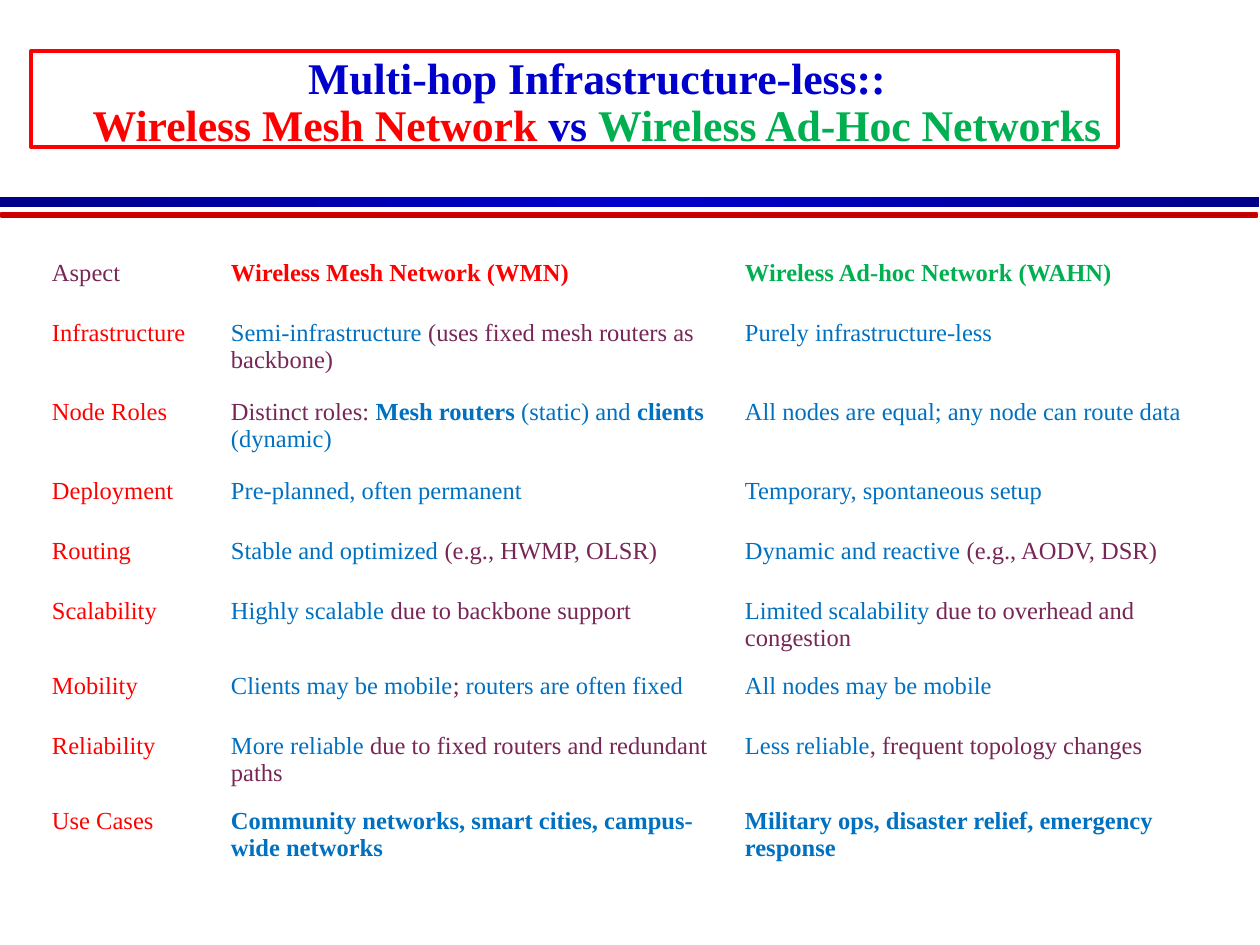
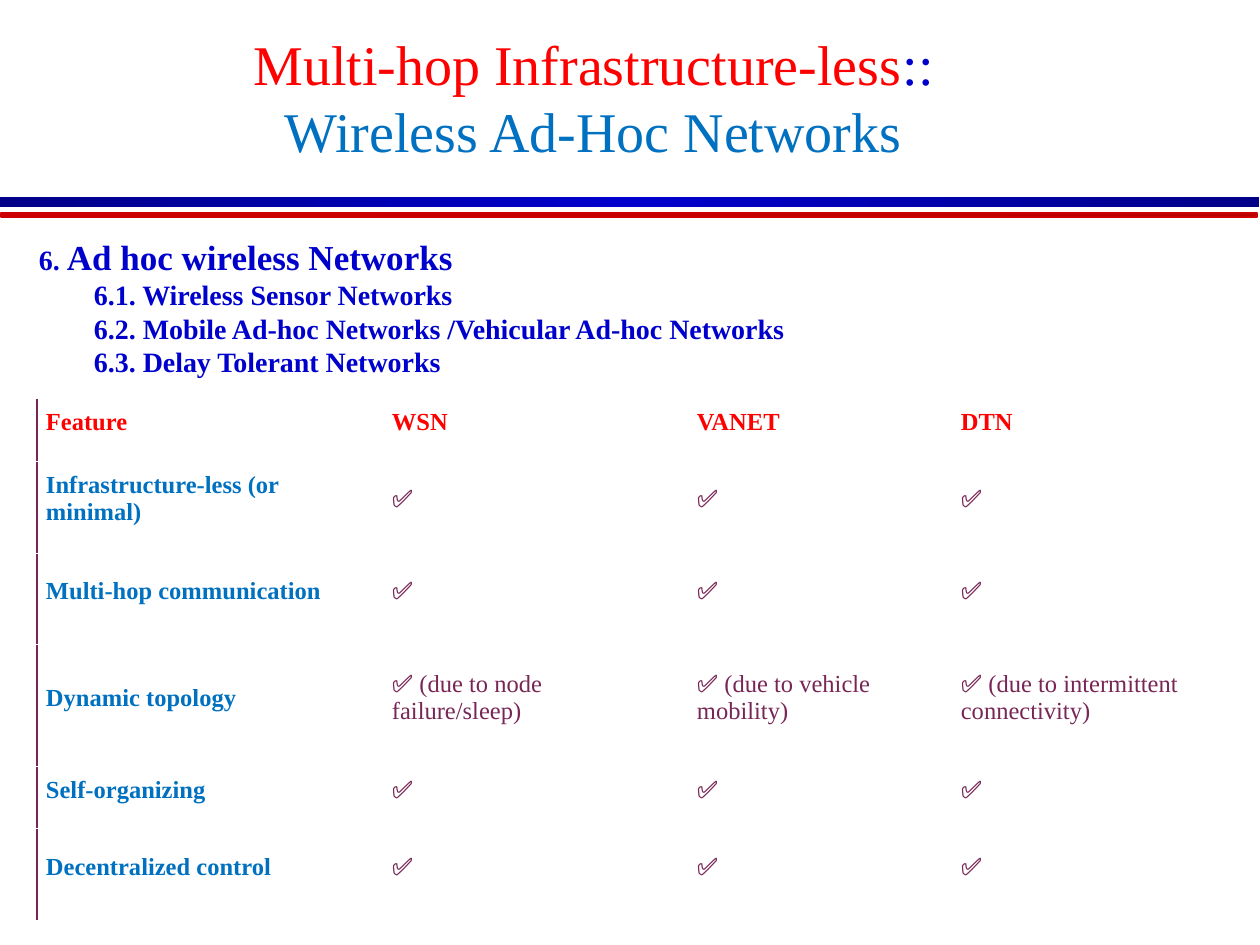
from dataclasses import dataclass

from lxml import etree
from pptx import Presentation
from pptx.dml.color import RGBColor
from pptx.enum.shapes import MSO_SHAPE
from pptx.enum.text import MSO_ANCHOR, PP_ALIGN
from pptx.oxml.ns import qn
from pptx.util import Emu, Pt

RECTANGLE = MSO_SHAPE.RECTANGLE
TOP, MIDDLE, BOTTOM = MSO_ANCHOR.TOP, MSO_ANCHOR.MIDDLE, MSO_ANCHOR.BOTTOM
CENTER = PP_ALIGN.CENTER


@dataclass(frozen=True)
class Theme:
    font: str = "Times New Roman"
    white: str = "FFFFFF"
    navy: str = "000089"
    blue: str = "0000CC"
    sky: str = "0070C0"
    red: str = "FF0000"
    band_red: str = "CC0000"
    dark_red: str = "B90000"
    green: str = "00B050"
    plum: str = "772655"
    large_title: int = 32
    title: int = 25
    heading: int = 20
    outline: int = 16
    table: int = 14


THEME = Theme()


def px(value):
    return Emu(round(value * 914400 / 126))


def box_px(box):
    return [px(value) for value in box]


def color(value):
    return RGBColor.from_string(value)


def plain(text):
    return text, THEME.plum, False


def key(text):
    return text, THEME.sky, False


def strong(text):
    return text, THEME.sky, True


def label(text):
    return text, THEME.red, False


def write(paragraph, runs, size):
    paragraph.font.name = THEME.font
    paragraph.font.size = Pt(size)
    for text, run_color, bold in runs:
        if text == "\n":
            paragraph.add_line_break()
            continue
        run = paragraph.add_run()
        run.text = text
        run.font.color.rgb = color(run_color)
        run.font.bold = bold


def set_margins(holder, margins):
    (holder.margin_left, holder.margin_top,
     holder.margin_right, holder.margin_bottom) = box_px(margins)


def add_text_frame(slide, box, anchor):
    frame = slide.shapes.add_textbox(*box_px(box)).text_frame
    frame.word_wrap = True
    frame.vertical_anchor = anchor
    set_margins(frame, (13, 6, 13, 6))
    return frame


def add_title(slide, box, runs, size, anchor, line_spacing):
    paragraph = add_text_frame(slide, box, anchor).paragraphs[0]
    paragraph.alignment = CENTER
    paragraph.line_spacing = line_spacing
    write(paragraph, runs, size)


def add_rectangle(slide, box, line_color=None, line_width=0):
    shape = slide.shapes.add_shape(RECTANGLE, *box_px(box))
    shape.shadow.inherit = False
    shape.fill.background()
    if line_color:
        shape.line.color.rgb = color(line_color)
        shape.line.width = Pt(line_width)
    else:
        shape.line.fill.background()
    return shape


def fill_gradient(shape, colors):
    shape.fill.gradient()
    shape.fill.gradient_angle = 0
    stops = shape._element.spPr.find(".//" + qn("a:gsLst"))
    for stop in list(stops):
        stops.remove(stop)
    for index, stop_color in enumerate(colors):
        position = 100000 * index // (len(colors) - 1)
        stop = etree.SubElement(stops, qn("a:gs"), pos=str(position))
        etree.SubElement(stop, qn("a:srgbClr"), val=stop_color)


def add_bands(slide):
    blue_band = add_rectangle(slide, (0, 197, 1259, 10))
    fill_gradient(blue_band, (THEME.navy, THEME.blue, THEME.navy))
    red_band = add_rectangle(slide, (1, 213, 1256, 4), THEME.band_red, 1)
    fill_gradient(red_band, (THEME.band_red, THEME.dark_red))


def set_border(cell, side, line_color, width):
    properties = cell._tc.get_or_add_tcPr()
    line = etree.Element(qn("a:ln" + side), w=str(Pt(width)))
    fill = etree.SubElement(line, qn("a:solidFill"))
    etree.SubElement(fill, qn("a:srgbClr"), val=line_color)
    fill_index = properties.index(properties.find(qn("a:solidFill")))
    properties.insert(fill_index, line)


def add_table(slide, left, top, widths, heights, rows, margins, anchor, edge=None):
    box = (left, top, sum(widths), sum(heights))
    frame = slide.shapes.add_table(len(rows), len(widths), *box_px(box))
    table = frame.table
    table.first_row = table.horz_banding = False
    for column, width in zip(table.columns, widths):
        column.width = px(width)
    for row, height in zip(table.rows, heights):
        row.height = px(height)
    for row_index, row in enumerate(rows):
        for column_index, runs in enumerate(row):
            cell = table.cell(row_index, column_index)
            cell.fill.solid()
            cell.fill.fore_color.rgb = color(THEME.white)
            cell.vertical_anchor = anchor
            set_margins(cell, margins)
            for side in "LRTB":
                if side == "L" and column_index == 0 and edge:
                    set_border(cell, side, edge, 1)
                else:
                    set_border(cell, side, THEME.white, 0.5)
            write(cell.text_frame.paragraphs[0], runs, THEME.table)


def add_outline(slide, box, heading, items):
    frame = add_text_frame(slide, box, TOP)
    paragraph = frame.paragraphs[0]
    paragraph.line_spacing = 1.2
    write(paragraph, [(text, THEME.blue, True) for text in heading], THEME.outline)
    paragraph.runs[-1].font.size = Pt(THEME.heading)
    for item in items:
        paragraph = frame.add_paragraph()
        paragraph._p.get_or_add_pPr().set("marL", str(px(55)))
        paragraph.line_spacing = 0.8
        paragraph.space_before = Pt(3.8)
        write(paragraph, [(item, THEME.blue, True)], THEME.outline)


def build_comparison_slide(slide):
    add_bands(slide)
    add_title(slide, (42, 10, 1110, 147), [
        ("Multi-hop Infrastructure-less::", THEME.blue, True),
        ("\n", THEME.blue, True),
        ("Wireless Mesh Network ", THEME.red, True),
        ("vs ", THEME.blue, True),
        ("Wireless Ad-Hoc Networks", THEME.green, True),
    ], THEME.title, BOTTOM, 0.9)
    aspects = [
        ("Infrastructure",
         [key("Semi-infrastructure"), plain(" (uses fixed mesh routers as backbone)")],
         [key("Purely infrastructure-less")]),
        ("Node Roles",
         [plain("Distinct roles: "), strong("Mesh routers"), key(" (static) and "),
          strong("clients"), key(" (dynamic)")],
         [key("All nodes are equal; any node can route data")]),
        ("Deployment",
         [key("Pre-planned, often permanent")],
         [key("Temporary, spontaneous setup")]),
        ("Routing",
         [key("Stable and optimized "), plain("(e.g., HWMP, OLSR)")],
         [key("Dynamic and reactive "), plain("(e.g., AODV, DSR)")]),
        ("Scalability",
         [key("Highly scalable "), plain("due to backbone support")],
         [key("Limited scalability "), plain("due to overhead and congestion")]),
        ("Mobility",
         [key("Clients may be mobile"), plain("; "), key("routers are often fixed")],
         [key("All nodes may be mobile")]),
        ("Reliability",
         [key("More reliable "), plain("due to fixed routers and redundant paths")],
         [key("Less reliable"), plain(", frequent topology changes")]),
        ("Use Cases",
         [strong("Community networks, smart cities, campus-wide networks")],
         [strong("Military ops, disaster relief, emergency response")]),
    ]
    header = ([plain("Aspect")],
              [("Wireless Mesh Network (WMN)", THEME.red, True)],
              [("Wireless Ad-hoc Network (WAHN)", THEME.green, True)])
    rows = [header] + [([label(name)], mesh, ad_hoc) for name, mesh, ad_hoc in aspects]
    add_table(slide, 42, 252, (179, 514, 472), (60, 79, 79, 60, 60, 60, 60, 60, 79),
              rows, (10, 8, 5, 8), TOP)
    add_rectangle(slide, (31, 51, 1087, 96), THEME.red, 2.25)


def build_features_slide(slide):
    add_bands(slide)
    add_outline(slide, (26, 221, 1207, 179), ("6. ", "Ad hoc wireless Networks"), (
        "6.1. Wireless Sensor Networks",
        "6.2. Mobile Ad-hoc Networks /Vehicular Ad-hoc Networks",
        "6.3. Delay Tolerant Networks",
    ))
    check = "✅"
    networks = ("WSN", "VANET", "DTN")
    causes = ("node failure/sleep", "vehicle mobility", "intermittent connectivity")
    checks = [check] * len(networks)
    features = [
        ("Infrastructure-less (or minimal)", checks),
        ("Multi-hop communication", checks),
        ("Dynamic topology", [f"{check} (due to {cause})" for cause in causes]),
        ("Self-organizing", checks),
        ("Decentralized control", checks),
    ]
    rows = [[[(name, THEME.red, True)] for name in ("Feature", *networks)]]
    rows += [[[strong(name)]] + [[plain(value)] for value in values]
             for name, values in features]
    add_table(slide, 37, 399, (346, 305, 264, 282), (62, 92, 92, 122, 62, 92),
              rows, (9, 3, 13, 19), MIDDLE, THEME.plum)
    add_title(slide, (53, 21, 1081, 152), [
        ("Multi-hop Infrastructure-less", THEME.red, False),
        ("::", THEME.blue, False),
        ("\n", THEME.blue, False),
        ("Wireless Ad-Hoc Networks", THEME.sky, False),
    ], THEME.large_title, MIDDLE, 1.0)


def main():
    presentation = Presentation()
    presentation.slide_width = px(1260)
    presentation.slide_height = px(945)
    blank = presentation.slide_layouts[6]
    for build in (build_comparison_slide, build_features_slide):
        build(presentation.slides.add_slide(blank))
    presentation.save("out.pptx")


if __name__ == "__main__":
    main()
